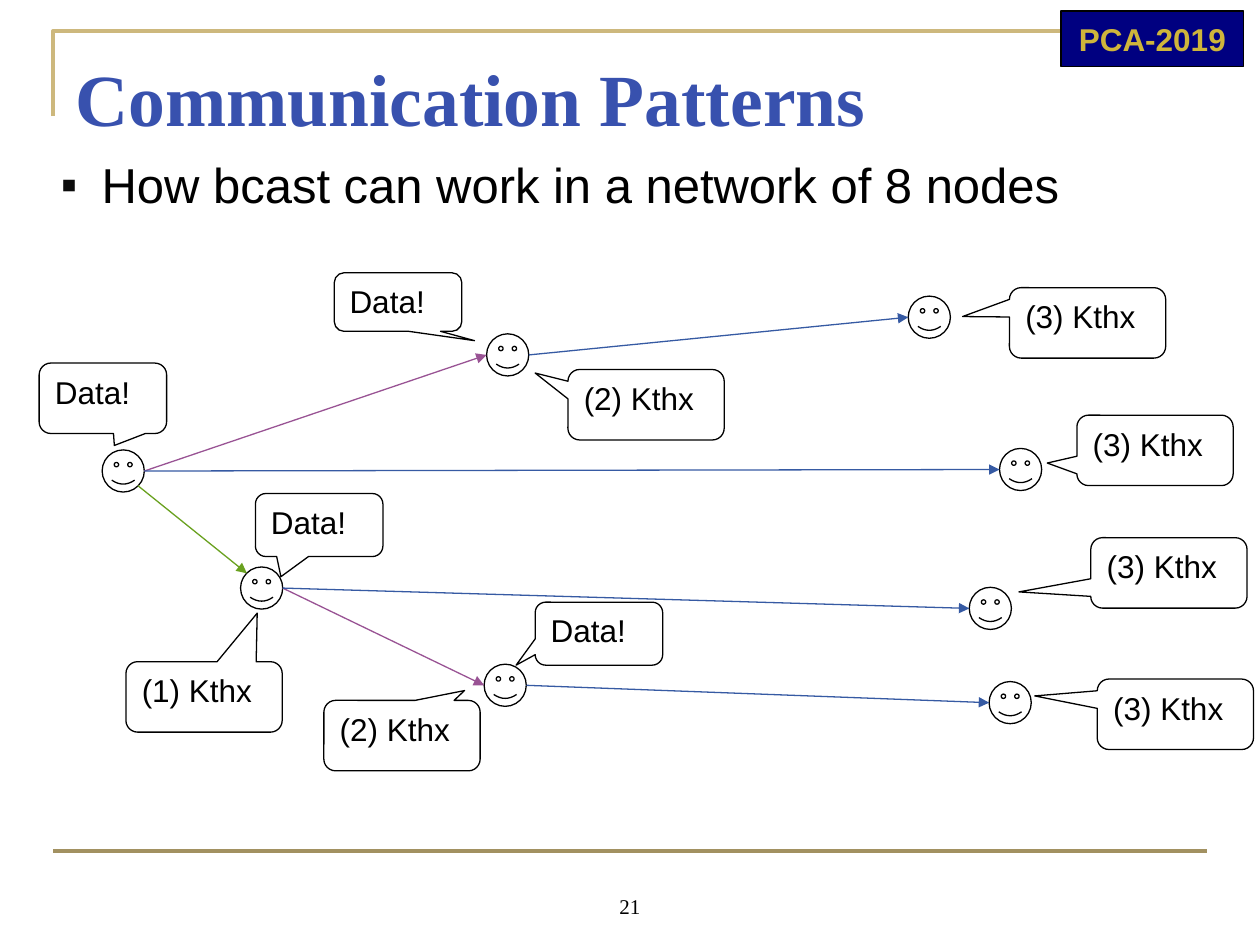
from lxml import etree
from pptx import Presentation
from pptx import util as u
from pptx.dml.color import RGBColor
from pptx.enum import shapes as sh, text as tx
from pptx.oxml.ns import qn

BLACK = RGBColor(0x00, 0x00, 0x00)
WHITE = RGBColor(0xFF, 0xFF, 0xFF)
NAVY = RGBColor(0x00, 0x00, 0x80)
GOLD = RGBColor(0xCF, 0xB5, 0x3B)
SAND = RGBColor(0xCD, 0xB8, 0x7D)
KHAKI = RGBColor(0xA2, 0x91, 0x61)
TITLE = RGBColor(0x38, 0x51, 0xAE)
GREEN = RGBColor(0x69, 0xA1, 0x1F)
PURPLE = RGBColor(0x99, 0x53, 0x94)
BLUE = RGBColor(0x36, 0x5A, 0xA3)
BULLET = RGBColor(0x0C, 0x0C, 0x0C)

deck = Presentation()
deck.slide_width, deck.slide_height = u.Cm(25.4), u.Cm(19.05)
slide = deck.slides.add_slide(deck.slide_layouts[6])
items = slide.shapes


def write(shape, words, size=18, font="Arial", color=BLACK, bold=False,
          align=tx.PP_ALIGN.LEFT, anchor=tx.MSO_ANCHOR.TOP):
    frame = shape.text_frame
    frame.word_wrap = True
    frame.vertical_anchor = anchor
    para = frame.paragraphs[0]
    para.alignment = align
    run = para.add_run()
    run.text = words
    run.font.size, run.font.name = u.Pt(size), font
    run.font.bold, run.font.color.rgb = bold, color
    return para


def link(x1, y1, x2, y2, color, width=0.75, arrow=True):
    line = items.add_connector(sh.MSO_CONNECTOR.STRAIGHT,
                               u.Cm(x1), u.Cm(y1), u.Cm(x2), u.Cm(y2))
    line.line.color.rgb, line.line.width = color, u.Pt(width)
    if arrow:
        etree.SubElement(line.line._get_or_add_ln(), qn("a:tailEnd"), type="triangle")
    etree.SubElement(line._element.spPr, qn("a:effectLst"))


path = items.build_freeform(u.Cm(1.07), u.Cm(2.34), scale=1.0)
path.add_line_segments([(u.Cm(1.07), u.Cm(0.63)), (u.Cm(23.93), u.Cm(0.63))], close=False)
frame = path.convert_to_shape()
frame.shadow.inherit = False
frame.fill.background()
frame.line.color.rgb, frame.line.width = SAND, u.Pt(2.25)
link(1.07, 17.15, 24.33, 17.15, KHAKI, width=2.25, arrow=False)

badge = items.add_shape(sh.MSO_SHAPE.RECTANGLE, u.Cm(21.39), u.Cm(0.22), u.Cm(3.68), u.Cm(1.12))
badge.shadow.inherit = False
badge.fill.solid()
badge.fill.fore_color.rgb = NAVY
badge.line.color.rgb, badge.line.width = BLACK, u.Pt(0.75)
write(badge, "PCA-2019", color=GOLD, bold=True,
      align=tx.PP_ALIGN.CENTER, anchor=tx.MSO_ANCHOR.MIDDLE)

title = items.add_textbox(u.Cm(1.27), u.Cm(0.94), u.Cm(22.86), u.Cm(2.44))
write(title, "Communication Patterns", size=42, font="Times New Roman", color=TITLE, bold=True)

body = items.add_textbox(u.Cm(0.84), u.Cm(3), u.Cm(23.7), u.Cm(2))
props = write(body, "How bcast can work in a network of 8 nodes", size=28)._p.get_or_add_pPr()
props.set("marL", str(u.Cm(0.96)))
props.set("indent", str(-u.Cm(0.82)))
tint = etree.SubElement(props, qn("a:buClr"))
etree.SubElement(tint, qn("a:srgbClr"), val=str(BULLET))
etree.SubElement(props, qn("a:buSzPct"), val="95000")
etree.SubElement(props, qn("a:buFont"), typeface="Arial")
etree.SubElement(props, qn("a:buChar"), char="▪")

page = items.add_textbox(u.Cm(10.16), u.Cm(17.83), u.Cm(5.08), u.Cm(0.81))
write(page, "21", size=12, font="Times New Roman",
      align=tx.PP_ALIGN.CENTER, anchor=tx.MSO_ANCHOR.BOTTOM)

SIZE = 0.85
nodes = {
    "root": (2.06, 9.07), "low": (4.85, 11.43),
    "top": (9.81, 6.73), "base": (9.76, 13.39),
    "leaf1": (18.31, 5.97), "leaf2": (20.15, 9.04),
    "leaf3": (19.54, 11.84), "leaf4": (19.94, 13.74),
}
for left, top in nodes.values():
    face = items.add_shape(sh.MSO_SHAPE.SMILEY_FACE, u.Cm(left), u.Cm(top), u.Cm(SIZE), u.Cm(SIZE))
    face.shadow.inherit = False
    face.fill.background()
    face.line.color.rgb, face.line.width = BLACK, u.Pt(0.75)

inset = 0.15 * SIZE
(ax, ay), (bx, by) = nodes["root"], nodes["low"]
link(ax + SIZE - inset, ay + SIZE - inset, bx + inset, by + inset, GREEN)
for start, end, color in [
    ("low", "base", PURPLE), ("root", "top", PURPLE),
    ("top", "leaf1", BLUE), ("low", "leaf3", BLUE),
    ("root", "leaf2", BLUE), ("base", "leaf4", BLUE),
]:
    (ax, ay), (bx, by) = nodes[start], nodes[end]
    link(ax + SIZE, ay + SIZE / 2, bx, by + SIZE / 2, color)

DATA, ACK = 2.57, 3.15
for words, left, top, width, height, dx, dy, solid in [
    ("Data!", 0.79, 7.32, DATA, 1.42, 0.09, 0.67, False),
    ("(1) Kthx", 2.54, 13.34, ACK, 1.42, 0.34, -1.19, False),
    ("Data!", 5.15, 9.95, DATA, 1.27, -0.3, 0.82, False),
    ("(2) Kthx", 6.53, 14.12, ACK, 1.42, 0.4, -0.64, True),
    ("(2) Kthx", 11.45, 7.45, ACK, 1.42, -0.71, -0.45, False),
    ("(3) Kthx", 20.35, 5.8, ACK, 1.42, -0.8, -0.09, False),
    ("(3) Kthx", 21.99, 10.84, ACK, 1.42, -0.96, 0.27, False),
    ("Data!", 6.74, 5.5, DATA, 1.18, 0.6, 0.66, True),
    ("(3) Kthx", 21.71, 8.37, ACK, 1.42, -0.69, 0.18, False),
    ("(3) Kthx", 22.12, 13.69, ACK, 1.42, -0.9, -0.26, False),
    ("Data!", 10.79, 12.14, DATA, 1.27, -0.65, 0.5, False),
]:
    call = items.add_shape(sh.MSO_SHAPE.ROUNDED_RECTANGULAR_CALLOUT,
                           u.Cm(left), u.Cm(top), u.Cm(width), u.Cm(height))
    call.shadow.inherit = False
    call.adjustments[0], call.adjustments[1] = dx, dy
    if solid:
        call.fill.solid()
        call.fill.fore_color.rgb = WHITE
    else:
        call.fill.background()
    call.line.color.rgb, call.line.width = BLACK, u.Pt(0.75)
    write(call, words)

deck.save("out.pptx")
